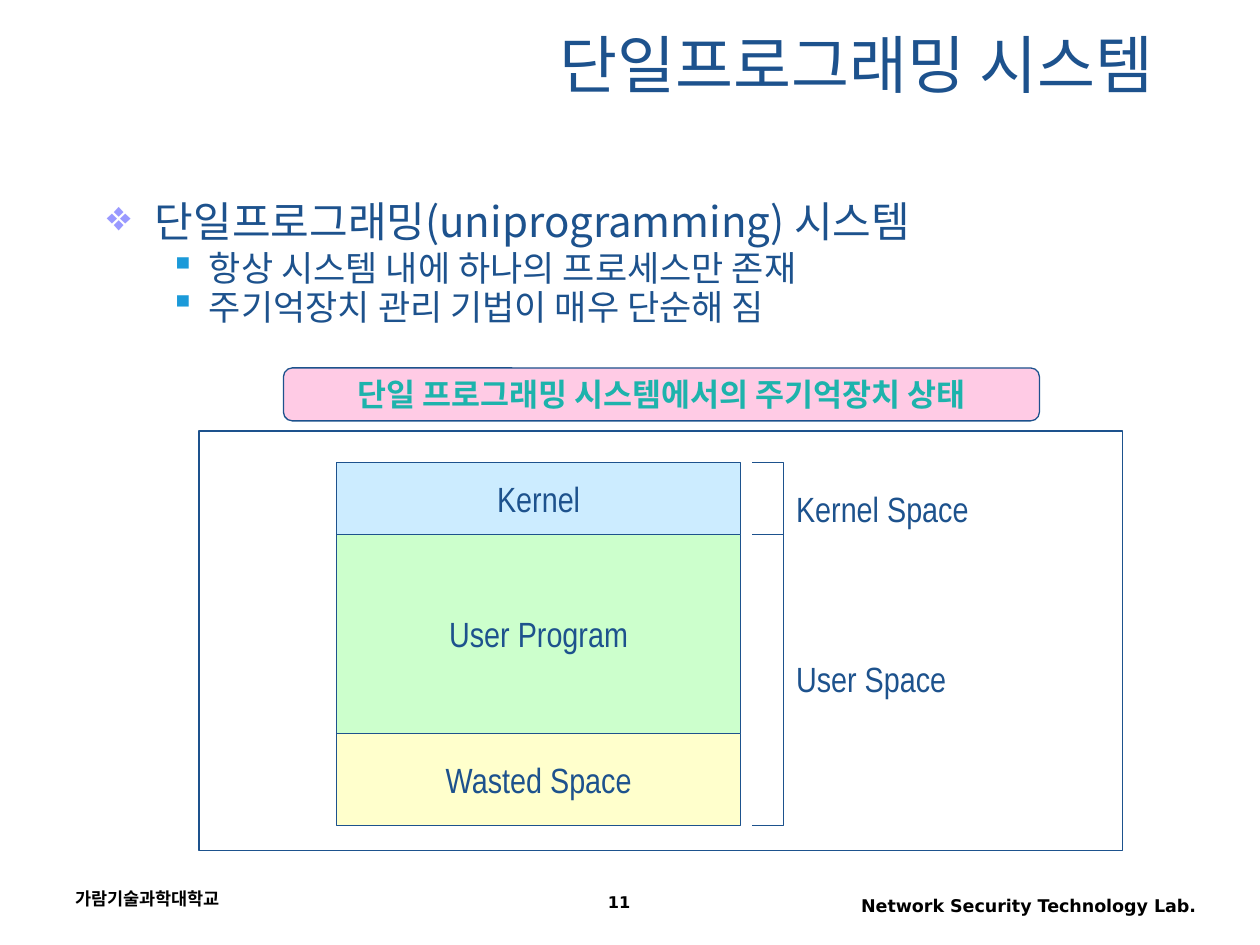
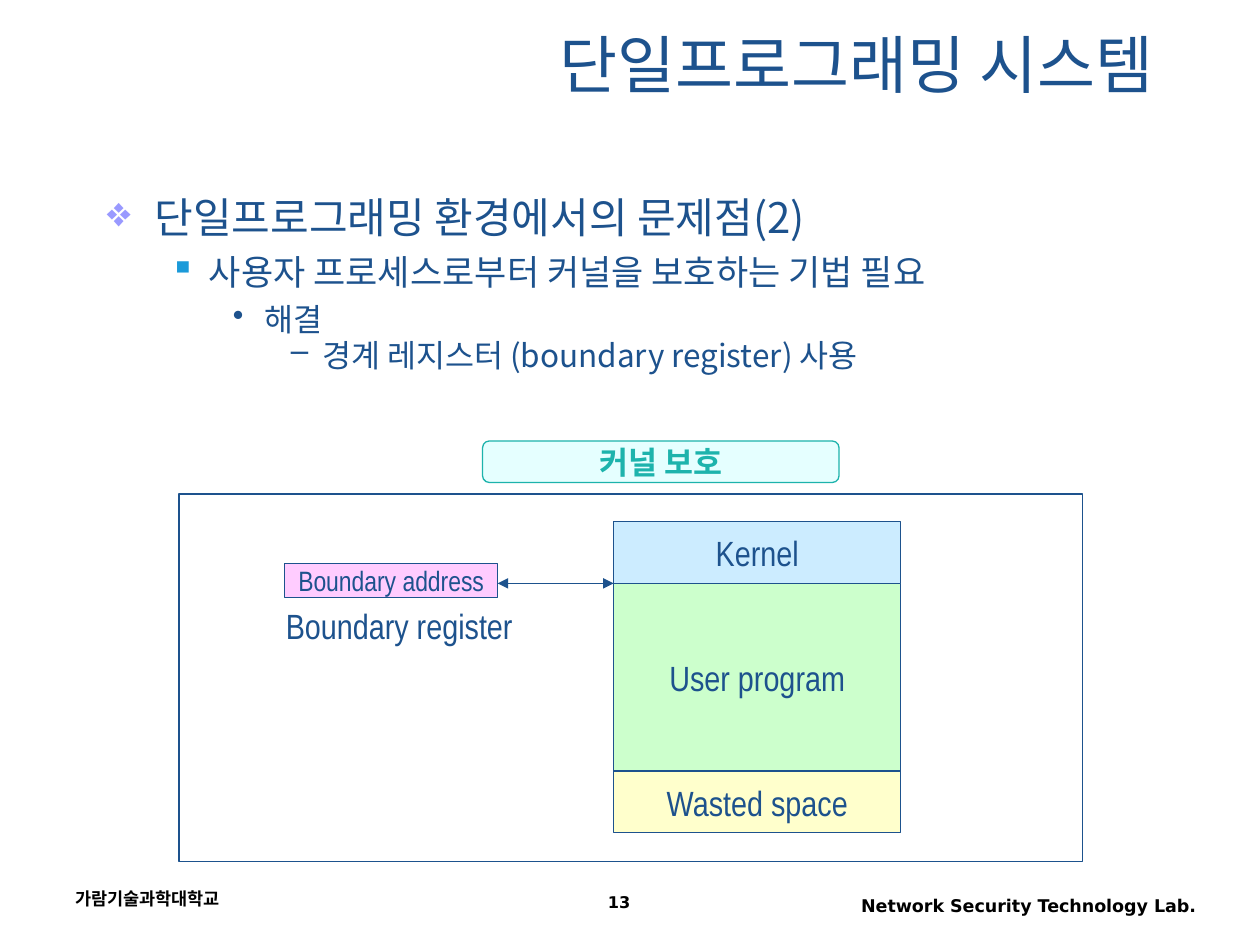
from itertools import pairwise

from lxml.etree import SubElement
from pptx import Presentation
from pptx.dml.color import RGBColor
from pptx.enum.shapes import MSO_CONNECTOR, MSO_SHAPE
from pptx.enum.text import MSO_ANCHOR, PP_ALIGN
from pptx.oxml.ns import qn
from pptx.util import Inches, Pt

COLORS = {
    "navy": "1D528D",
    "teal": "1DB3AC",
    "black": "000000",
    "white": "FFFFFF",
    "kernel": "CCECFF",
    "program": "CCFFCC",
    "wasted": "FFFFCC",
    "register": "FFCCFF",
    "pink": "FF99CC",
    "aqua": "CCFFFF",
    "lavender": "9999FF",
    "sky": "1B9AD9",
}
KOREAN = "Noto Sans CJK KR"
NARROW = "Arial Narrow"
FOOTER = "DejaVu Sans"
TITLE = "단일프로그래밍 시스템"
BULLETS = [
    {"mark": "❖", "color": "lavender", "size": 24, "before": 6, "left": 0.38, "hang": 0.38},
    {"mark": "▪", "color": "sky", "size": 20, "before": 5, "left": 0.81, "hang": 0.31},
    {"mark": "•", "color": "navy", "size": 18, "before": 4.5, "left": 1.25, "hang": 0.25},
    {"mark": "–", "color": "navy", "size": 18, "before": 4.5, "left": 1.71, "hang": 0.25},
]


def rgb(name):
    return RGBColor.from_string(COLORS[name])


def write_text(paragraph, text, size=20, font=NARROW, color="navy", bold=False,
               align=PP_ALIGN.LEFT, spacing=None):
    paragraph.alignment = align
    if spacing:
        paragraph.line_spacing = spacing
    run = paragraph.add_run()
    run.text = text
    run.font.size = Pt(size)
    run.font.name = font
    run.font.bold = bold
    run.font.color.rgb = rgb(color)
    SubElement(run.font._element, qn("a:ea"), typeface=KOREAN)


def add_text(slide, box, text, wrap=True, anchor=MSO_ANCHOR.TOP, **style):
    frame = slide.shapes.add_textbox(*map(Inches, box)).text_frame
    frame.word_wrap = wrap
    frame.vertical_anchor = anchor
    write_text(frame.paragraphs[0], text, **style)


def style_outline(shape, line="navy"):
    shape.shadow.inherit = False
    shape.line.color.rgb = rgb(line)
    shape.line.width = Pt(0.75)


def add_box(slide, box, fill, text="", kind=MSO_SHAPE.RECTANGLE, line="navy", **style):
    shape = slide.shapes.add_shape(kind, *map(Inches, box))
    style_outline(shape, line)
    shape.fill.solid()
    shape.fill.fore_color.rgb = rgb(fill)
    if text:
        shape.text_frame.word_wrap = False
        shape.text_frame.vertical_anchor = MSO_ANCHOR.MIDDLE
        write_text(shape.text_frame.paragraphs[0], text, align=PP_ALIGN.CENTER, **style)
    return shape


def add_banner(slide, box, text, fill, line):
    banner = add_box(slide, box, fill, text, kind=MSO_SHAPE.FLOWCHART_ALTERNATE_PROCESS,
                     line=line, size=18, color="teal", bold=True)
    tint = banner.fill._xPr.find(".//" + qn("a:srgbClr"))
    SubElement(tint, qn("a:alpha"), val="50000")


def add_memory(slide, left, width, edges, labels):
    fills = ("kernel", "program", "wasted")
    for (top, bottom), label, fill in zip(pairwise(edges), labels, fills):
        add_box(slide, (left, top, width, bottom - top), fill, label)


def add_bracket(slide, left, right, top, bottom):
    corners = [(right, top), (right, bottom), (left, bottom)]
    builder = slide.shapes.build_freeform(Inches(left), Inches(top))
    builder.add_line_segments([(Inches(x), Inches(y)) for x, y in corners], close=False)
    bracket = builder.convert_to_shape()
    style_outline(bracket)
    bracket.fill.background()


def add_double_arrow(slide, left, right, height):
    arrow = slide.shapes.add_connector(
        MSO_CONNECTOR.STRAIGHT, *map(Inches, (left, height, right, height)))
    arrow.line.color.rgb = rgb("navy")
    arrow.line.width = Pt(0.75)
    for end in ("a:headEnd", "a:tailEnd"):
        SubElement(arrow.line._get_or_add_ln(), qn(end), type="triangle")
    SubElement(arrow._element.spPr, qn("a:effectLst"))


def add_bullets(slide, box, items):
    frame = slide.shapes.add_textbox(*map(Inches, box)).text_frame
    frame.word_wrap = True
    for index, (level, text, spacing) in enumerate(items):
        bullet = BULLETS[level]
        paragraph = frame.add_paragraph() if index else frame.paragraphs[0]
        paragraph.level = level
        paragraph.space_before = Pt(bullet["before"])
        write_text(paragraph, text, size=bullet["size"], font=KOREAN, spacing=spacing)
        properties = paragraph._p.get_or_add_pPr()
        properties.set("marL", str(Inches(bullet["left"])))
        properties.set("indent", str(-Inches(bullet["hang"])))
        color = SubElement(properties, qn("a:buClr"))
        SubElement(color, qn("a:srgbClr"), val=COLORS[bullet["color"]])
        SubElement(properties, qn("a:buChar"), char=bullet["mark"])


def add_base_slide(presentation, number):
    slide = presentation.slides.add_slide(presentation.slide_layouts[6])
    slide.background.fill.solid()
    slide.background.fill.fore_color.rgb = rgb("white")
    footer = {"font": FOOTER, "color": "black", "bold": True}
    add_text(slide, (0.5, 7, 2.33, 0.33), "가람기술과학대학교", size=10, **footer)
    add_text(slide, (6.42, 7.05, 3.17, 0.32), "Network Security Technology Lab.",
             size=10, align=PP_ALIGN.RIGHT, **footer)
    add_text(slide, (3.75, 7.05, 2.33, 0.28), str(number), size=9.2,
             align=PP_ALIGN.CENTER, spacing=0.9, **footer)
    add_text(slide, (0.75, 0.17, 8.5, 0.66), TITLE, size=36, font=KOREAN,
             align=PP_ALIGN.RIGHT, anchor=MSO_ANCHOR.MIDDLE)
    return slide


def build_memory_state(presentation):
    slide = add_base_slide(presentation, 11)
    add_bullets(slide, (0.75, 1.5, 8.58, 1.25), [
        (0, "단일프로그래밍(uniprogramming) 시스템", None),
        (1, "항상 시스템 내에 하나의 프로세스만 존재", 0.8),
        (1, "주기억장치 관리 기법이 매우 단순해 짐", 0.7),
    ])
    add_box(slide, (1.58, 3.42, 7.33, 3.33), "white")
    top, boundary, bottom = 3.67, 4.24, 6.55
    add_memory(slide, 2.67, 3.21, (top, boundary, 5.82, bottom),
               ("Kernel", "User Program", "Wasted Space"))
    add_bracket(slide, 5.97, 6.22, boundary, bottom)
    add_bracket(slide, 5.97, 6.22, top, boundary)
    add_text(slide, (6.22, 3.82, 1.57, 0.44), "Kernel Space", wrap=False)
    add_text(slide, (6.22, 5.17, 1.39, 0.44), "User Space", wrap=False)
    add_banner(slide, (2.25, 2.92, 6, 0.42), "단일 프로그래밍 시스템에서의 주기억장치 상태",
               "pink", "navy")


def build_kernel_protection(presentation):
    slide = add_base_slide(presentation, 13)
    add_bullets(slide, (0.75, 1.47, 8.5, 1.75), [
        (0, "단일프로그래밍 환경에서의 문제점(2)", None),
        (1, "사용자 프로세스로부터 커널을 보호하는 기법 필요", None),
        (2, "해결", None),
        (3, "경계 레지스터 (boundary register) 사용", 0.7),
    ])
    add_banner(slide, (3.83, 3.5, 2.83, 0.33), "커널 보호", "aqua", "teal")
    add_box(slide, (1.42, 3.92, 7.17, 2.92), "white")
    boundary = 4.63
    add_memory(slide, 4.87, 2.28, (4.14, boundary, 6.12, 6.61),
               ("Kernel", "User program", "Wasted space"))
    add_box(slide, (2.26, 4.47, 1.69, 0.27), "register", "Boundary address", size=16)
    add_double_arrow(slide, 3.95, 4.87, boundary)
    add_text(slide, (2.17, 4.75, 2, 0.44), "Boundary register", wrap=False)


def main():
    presentation = Presentation()
    presentation.slide_width = Inches(10)
    presentation.slide_height = Inches(7.5)
    build_memory_state(presentation)
    build_kernel_protection(presentation)
    presentation.save("out.pptx")


if __name__ == "__main__":
    main()
